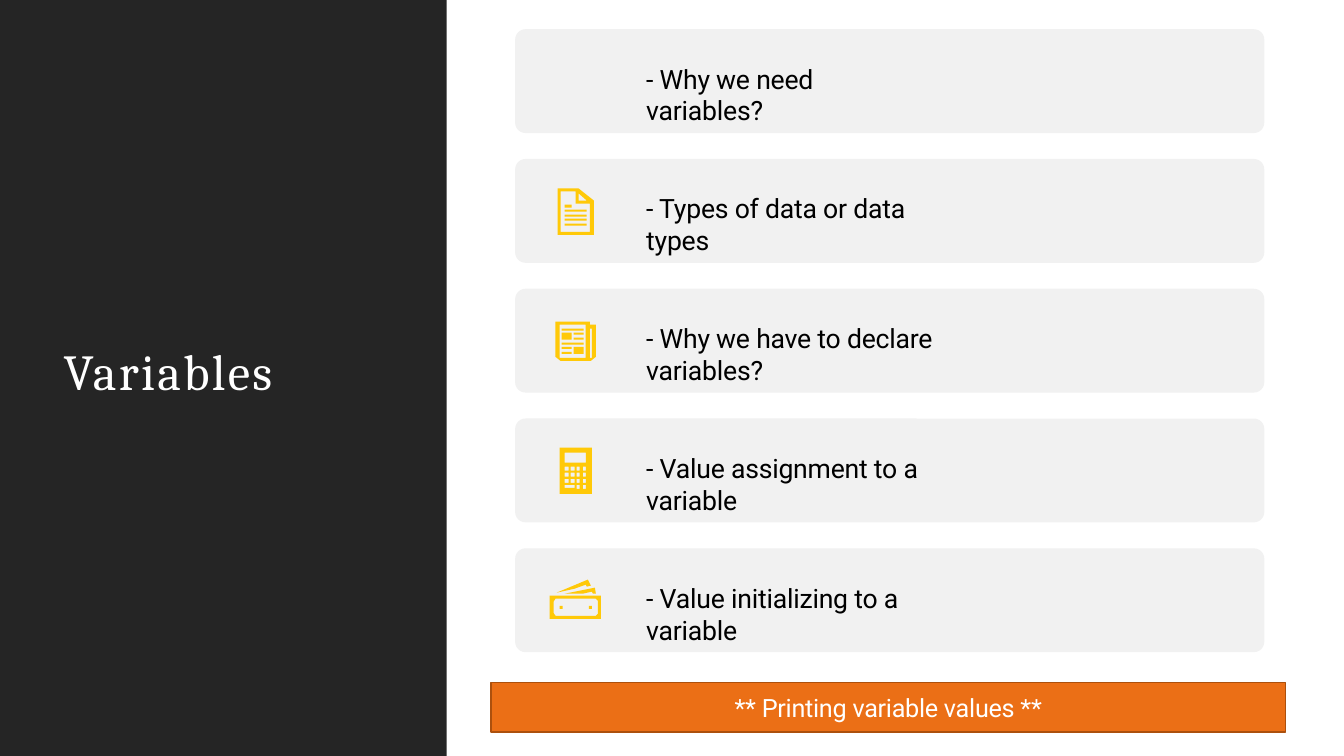
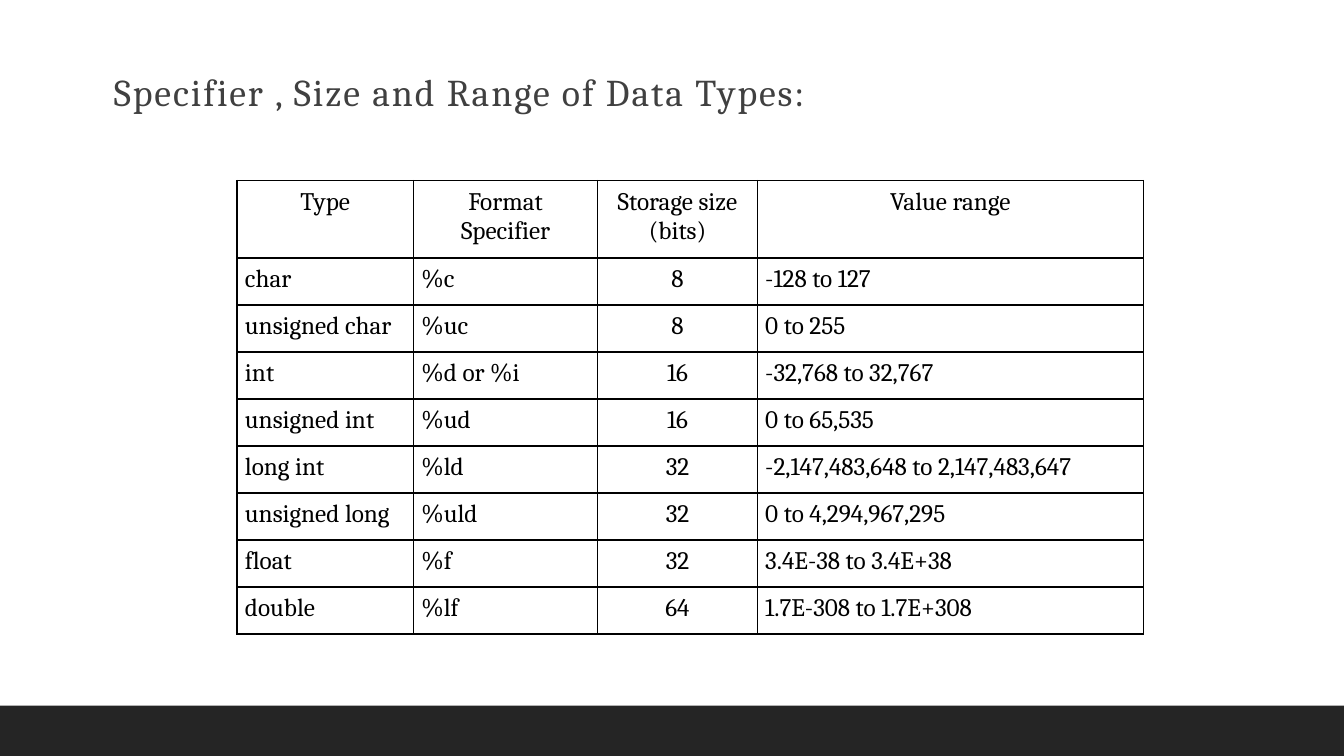
"""Build two slides on C variables: a topic list and a table of data types."""
from lxml import etree
from pptx import Presentation
from pptx.dml.color import RGBColor
from pptx.enum.shapes import MSO_SHAPE
from pptx.enum.text import MSO_ANCHOR, PP_ALIGN
from pptx.oxml.ns import qn
from pptx.util import Inches, Pt

RECT, ROUNDED = MSO_SHAPE.RECTANGLE, MSO_SHAPE.ROUNDED_RECTANGLE
LEFT, CENTER = PP_ALIGN.LEFT, PP_ALIGN.CENTER
MIDDLE = MSO_ANCHOR.MIDDLE
COLORS = {"dark": "252525", "card": "F1F1F1", "icon": "FFC908", "orange": "EB6F16",
          "orange_line": "AC500D", "title": "404040", "white": "FFFFFF", "black": "000000"}
RGB = {name: RGBColor.from_string(value) for name, value in COLORS.items()}
SERIF, SANS = "Cambria", "Roboto"
CARD_TOP, LAST_CARD_TOP = 0.29, 5.44
CARD_STEP = (LAST_CARD_TOP - CARD_TOP) / 4


def write(tf, text, size, font, color, spacing, align=LEFT):
    """Put one styled paragraph in a text frame."""
    p = tf.paragraphs[0]
    p.text = text
    p.alignment = align
    for r in p.runs:
        r.font.size = Pt(size)
        r.font.name = font
        r.font.color.rgb = RGB[color]
        r.font._element.set("spc", str(round(spacing * 100)))


def box(left, top, right, bottom):
    """Return the corners of a rectangle."""
    return [(left, top), (right, top), (right, bottom), (left, bottom)]


prs = Presentation()
prs.slide_width, prs.slide_height = Inches(13.33), Inches(7.5)
topics, types = [prs.slides.add_slide(prs.slide_layouts[6]) for _ in range(2)]

blocks = [(topics, RECT, (0, 0, 4.43, 7.5), "dark"),
          (types, RECT, (0, 7, 13.33, 0.5), "dark")]
blocks += [(topics, ROUNDED, (5.11, CARD_TOP + i * CARD_STEP, 7.43, 1.03), "card")
           for i in range(5)]
blocks.append((topics, RECT, (4.87, 6.77, 7.88, 0.49), "orange"))
for s, kind, place, color in blocks:
    sp = s.shapes.add_shape(kind, *map(Inches, place))
    sp.shadow.inherit = False
    sp.fill.solid()
    sp.fill.fore_color.rgb = RGB[color]
    sp.line.fill.background()
    if kind == ROUNDED:
        sp.adjustments[0] = 0.1

banner = sp
banner.line.color.rgb = RGB["orange_line"]
banner.line.width = Pt(1.25)
banner.text_frame.vertical_anchor = MIDDLE
write(banner.text_frame, "** Printing variable values **", 18, SANS, "white", -0.2, CENTER)

document = [
    [(5.53, 1.87), (5.74, 1.87), (5.89, 1.99), (5.89, 2.33), (5.53, 2.33)],
    [(5.56, 1.9), (5.71, 1.9), (5.71, 2.02), (5.85, 2.02), (5.85, 2.3), (5.56, 2.3)],
    [(5.74, 1.92), (5.82, 1.99), (5.74, 1.99)],
    box(5.6, 2.03, 5.67, 2.06)]
document += [box(5.6, y, 5.82, y + 0.02) for y in (2.08, 2.13, 2.17, 2.22)]

newspaper = [
    [(5.51, 3.19), (5.85, 3.19), (5.85, 3.22), (5.91, 3.22), (5.91, 3.54),
     (5.86, 3.58), (5.56, 3.58), (5.51, 3.54)],
    box(5.55, 3.22, 5.81, 3.55), box(5.85, 3.26, 5.87, 3.55),
    box(5.57, 3.3, 5.67, 3.37), box(5.69, 3.44, 5.79, 3.51)]
newspaper += [box(left, y, right, y + 0.02) for left, right, y in (
    (5.57, 5.79, 3.26), (5.69, 5.79, 3.3), (5.69, 5.79, 3.35),
    (5.57, 5.79, 3.4), (5.57, 5.67, 3.44), (5.57, 5.67, 3.49))]

calculator = [box(5.55, 4.44, 5.87, 4.9), box(5.6, 4.49, 5.81, 4.59),
              box(5.6, 4.81, 5.7, 4.84)]
calculator += [box(x, y, x + 0.04, y + 0.04) for y in (4.63, 4.69, 4.75)
               for x in (5.6, 5.66)]
calculator += [box(x, y, x + 0.03, y + 0.04) for y in (4.63, 4.69, 4.75, 4.81)
               for x in (5.72, 5.78)]

money_box = [
    box(5.45, 5.91, 5.96, 6.14),
    [(5.51, 5.94), (5.91, 5.94), (5.93, 5.96), (5.93, 6.09),
     (5.91, 6.11), (5.51, 6.11), (5.49, 6.08), (5.49, 5.97)]]
banknotes = [
    [(5.86, 5.81), (5.83, 5.75), (5.52, 5.88), (5.7, 5.84), (5.81, 5.8), (5.82, 5.82)],
    [(5.91, 5.89), (5.9, 5.83), (5.6, 5.89), (5.78, 5.89), (5.87, 5.87), (5.88, 5.89)]]
banknotes += [box(x, 6.01, x + 0.03, 6.04) for x in (5.55, 5.84)]

for outlines in (document, newspaper, calculator, money_box, banknotes):
    builder = topics.shapes.build_freeform(scale=Inches(0.01))
    for k, outline in enumerate(outlines):
        points = [(round(x * 100), round(y * 100)) for x, y in outline]
        if k == 0:
            builder = topics.shapes.build_freeform(*points[0], scale=Inches(0.01))
        else:
            builder.move_to(*points[0])
        builder.add_line_segments(points[1:], close=True)
    sp = builder.convert_to_shape()
    sp.shadow.inherit = False
    sp.fill.solid()
    sp.fill.fore_color.rgb = RGB["icon"]
    sp.line.fill.background()

texts = [
    (topics, (0.62, 3.36, 2.25, 0.63), "Variables", 36, SERIF, "white", 1.7),
    (types, (1.12, 0.67, 7.24, 0.48), "Specifier , Size and Range of Data Types:",
     27, SERIF, "title", 1.4)]
items = [("- Why we need variables?", 2.8), ("- Types of data or data types", 3.1),
         ("- Why we have to declare variables?", 3.9),
         ("- Value assignment to a variable", 3.5),
         ("- Value initializing to a variable", 3.3)]
for i, (text, width) in enumerate(items):
    place = (6.4, CARD_TOP + 0.32 + i * CARD_STEP, width, 0.34)
    texts.append((topics, place, text, 19, SANS, "black", -0.15))
for s, place, *style in texts:
    tf = s.shapes.add_textbox(*map(Inches, place)).text_frame
    tf.word_wrap = True
    tf.margin_right = tf.margin_bottom = 0
    tf.margin_left = tf.margin_top = Inches(0.01)
    write(tf, *style)

rows = [
    ("Type", "Format\vSpecifier", "Storage size\v(bits)", "Value range"),
    ("char", "%c", "8", "-128 to 127"),
    ("unsigned char", "%uc", "8", "0 to 255"),
    ("int", "%d or %i", "16", "-32,768 to 32,767"),
    ("unsigned int", "%ud", "16", "0 to 65,535"),
    ("long int", "%ld", "32", "-2,147,483,648 to 2,147,483,647"),
    ("unsigned long", "%uld", "32", "0 to 4,294,967,295"),
    ("float", "%f", "32", "3.4E-38 to 3.4E+38"),
    ("double", "%lf", "64", "1.7E-308 to 1.7E+308")]
widths = (1.75, 1.83, 1.58, 3.83)
table_height, header_height = 4.5, 0.77
row_height = (table_height - header_height) / (len(rows) - 1)
table = types.shapes.add_table(len(rows), len(widths), Inches(2.35), Inches(1.79),
                               Inches(sum(widths)), Inches(table_height)).table
table.first_row = table.horz_banding = False
for column, width in zip(table.columns, widths):
    column.width = Inches(width)
for i, values in enumerate(rows):
    table.rows[i].height = Inches(row_height if i else header_height)
    for j, value in enumerate(values):
        centered = i == 0 or j == 2
        cell = table.cell(i, j)
        cell.fill.background()
        cell.margin_left = Inches(0 if centered else 0.08)
        cell.margin_right = cell.margin_bottom = 0
        cell.margin_top = Inches(0.07)
        write(cell.text_frame, value, 18, SERIF, "black", 0,
              CENTER if centered else LEFT)
        tc_pr = cell._tc.get_or_add_tcPr()
        for k, side in enumerate(("a:lnL", "a:lnR", "a:lnT", "a:lnB")):
            ln = etree.Element(qn(side), w=str(Pt(1)))
            fill = etree.SubElement(ln, qn("a:solidFill"))
            etree.SubElement(fill, qn("a:srgbClr"), val=COLORS["black"])
            tc_pr.insert(k, ln)

prs.save("out.pptx")
